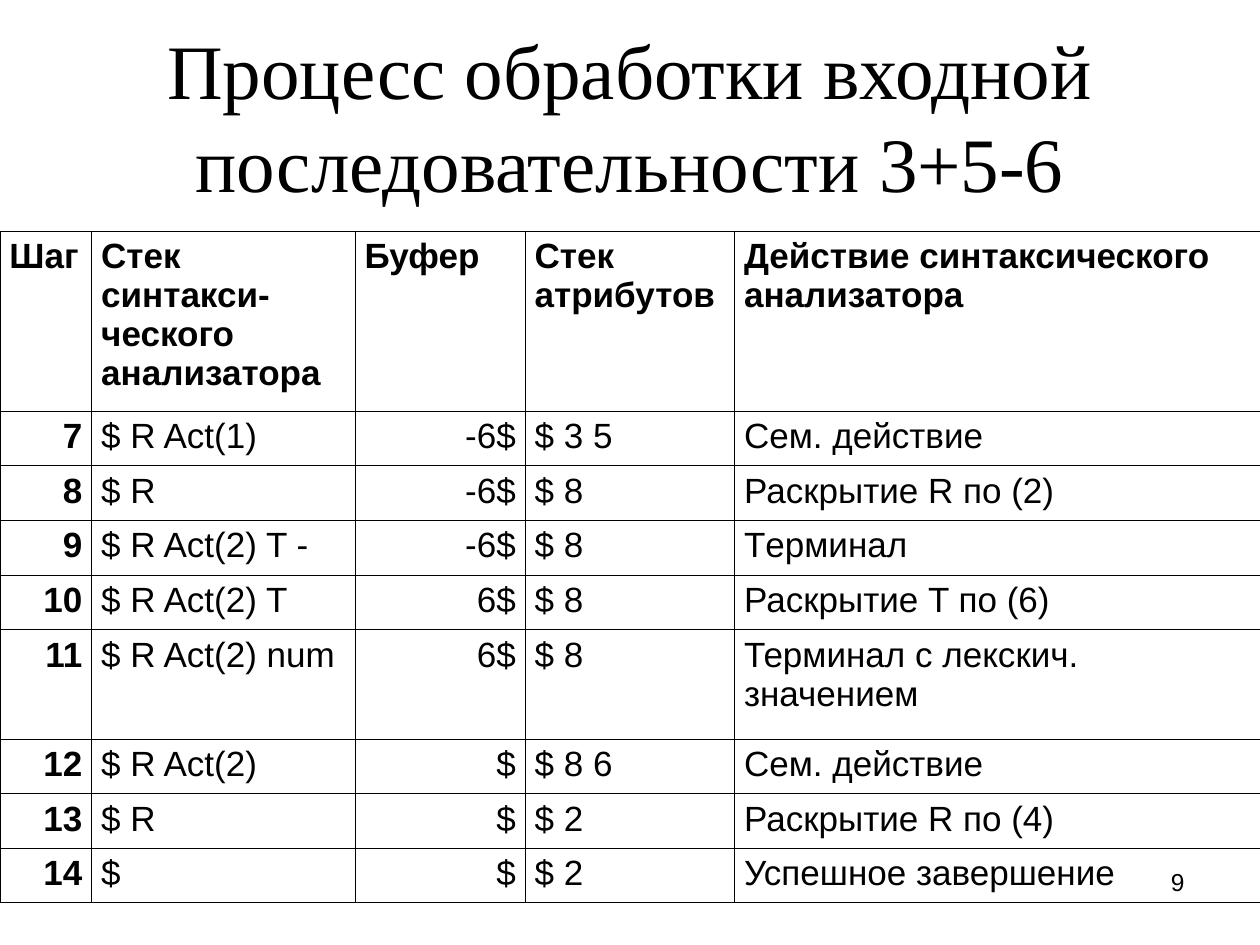
from lxml.etree import SubElement as Sub
from pptx import Presentation
from pptx.dml.color import RGBColor as Rgb
from pptx.enum.text import MSO_ANCHOR as Anchor, PP_ALIGN as Align
from pptx.oxml.ns import qn
from pptx.util import Cm, Pt

INK = "000000"
HEAD = ["Шаг", "Стек синтакси-ческого анализатора", "Буфер",
        "Стек атрибутов", "Действие синтаксического анализатора"]
STEPS = [
    ["7", "$ R Act(1)", "-6$", "$ 3 5", "Сем. действие"],
    ["8", "$ R", "-6$", "$ 8", "Раскрытие R по (2)"],
    ["9", "$ R Act(2) T -", "-6$", "$ 8", "Tерминал"],
    ["10", "$ R Act(2) T", "6$", "$ 8", "Раскрытие T по (6)"],
    ["11", "$ R Act(2) num", "6$", "$ 8", "Терминал с лекскич. значением"],
    ["12", "$ R Act(2)", "$", "$ 8 6", "Сем. действие"],
    ["13", "$ R", "$", "$ 2", "Раскрытие R по (4)"],
    ["14", "$", "$", "$ 2", "Успешное завершение"],
]
WIDTHS = [1.85, 5.31, 3.43, 4.22, 10.59]
HIGHS = [3.61] + [2.21 if step[0] == "11" else 1.1 for step in STEPS]


def write(frame, text, size=20, font="Arial", bold=False, align=Align.LEFT,
          color=INK):
    frame.word_wrap = True
    par = frame.paragraphs[0]
    par.alignment = align
    run = par.add_run()
    run.text = text
    run.font.size, run.font.name, run.font.bold = Pt(size), font, bold
    run.font.color.rgb = Rgb.from_string(color)


def edge(cell, color=INK, width=0.45):
    """Draw a thin line on all four sides of a cell."""
    props = cell._tc.get_or_add_tcPr()
    for spot, side in enumerate(("lnL", "lnR", "lnT", "lnB")):
        line = Sub(props, qn(f"a:{side}"), w=str(int(Pt(width))))
        fill = Sub(line, qn("a:solidFill"))
        Sub(fill, qn("a:srgbClr"), val=color)
        props.insert(spot, line)


deck = Presentation()
deck.slide_width, deck.slide_height = Cm(25.4), Cm(19.05)
slide = deck.slides.add_slide(deck.slide_layouts[6])

title = slide.shapes.add_textbox(Cm(1.27), 0, Cm(22.86), Cm(4.65)).text_frame
title.vertical_anchor = Anchor.MIDDLE
write(title, "Процесс обработки входной последовательности 3+5-6", size=44,
      font="Times New Roman", align=Align.CENTER)

rows = [HEAD] + STEPS
table = slide.shapes.add_table(len(rows), len(HEAD), 0, Cm(4.66),
                               Cm(sum(WIDTHS)), Cm(sum(HIGHS))).table
table.horz_banding = False
for col, width in zip(table.columns, WIDTHS):
    col.width = Cm(width)
for r, (row, high) in enumerate(zip(rows, HIGHS)):
    table.rows[r].height = Cm(high)
    for c, text in enumerate(row):
        cell = table.cell(r, c)
        cell.margin_left = cell.margin_right = Cm(0.19)
        cell.margin_top = cell.margin_bottom = Cm(0.12)
        cell.fill.background()
        edge(cell)
        right = r > 0 and c in (0, 2)
        write(cell.text_frame, text, bold=r == 0 or c == 0,
              align=Align.RIGHT if right else Align.LEFT)

number = slide.shapes.add_textbox(Cm(18.2), Cm(17.35), Cm(5.93), Cm(1.32))
write(number.text_frame, "9", size=14, align=Align.RIGHT)

deck.save("out.pptx")
